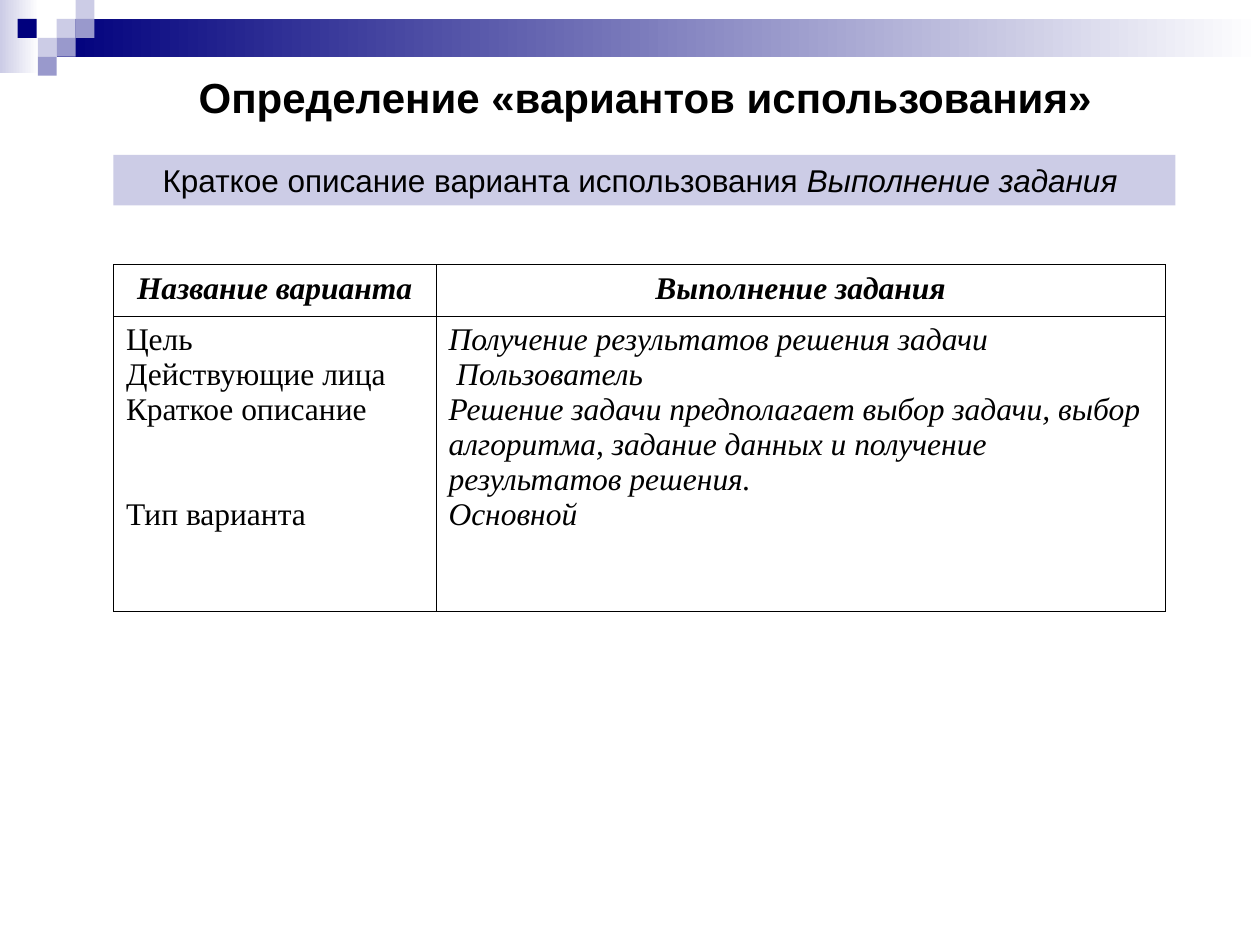
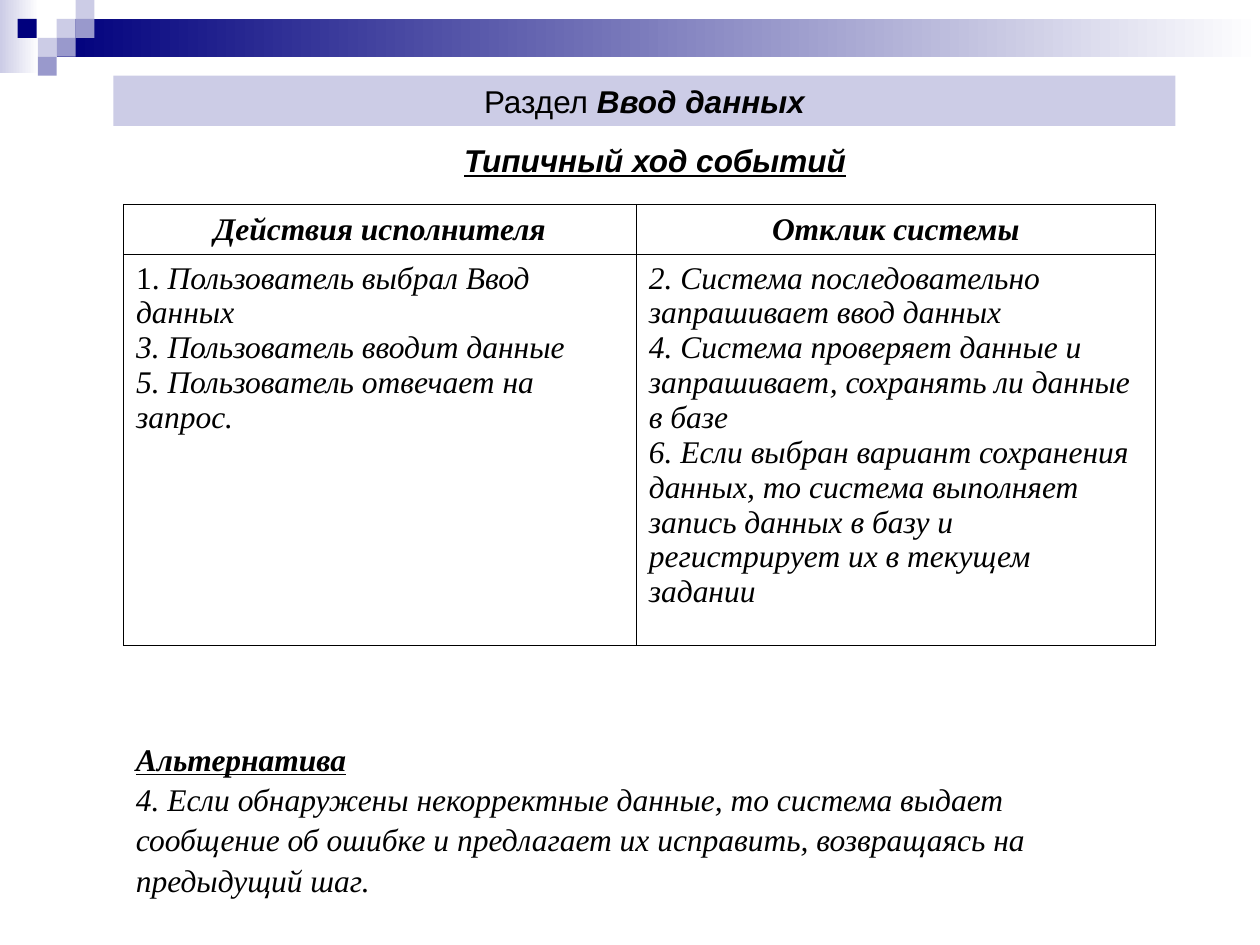
from lxml import etree
from pptx import Presentation
from pptx.dml.color import RGBColor
from pptx.enum.shapes import MSO_SHAPE
from pptx.enum.text import MSO_ANCHOR, PP_ALIGN
from pptx.oxml.ns import qn
from pptx.util import Emu, Pt

RECT = MSO_SHAPE.RECTANGLE
LEFT, CENTER = PP_ALIGN.LEFT, PP_ALIGN.CENTER
TOP, MIDDLE = MSO_ANCHOR.TOP, MSO_ANCHOR.MIDDLE

BLACK = RGBColor(0x00, 0x00, 0x00)
WHITE = RGBColor(0xFF, 0xFF, 0xFF)
NAVY = RGBColor(0x00, 0x00, 0x7D)
LILAC = RGBColor(0x99, 0x99, 0xCC)
PALE = RGBColor(0xCC, 0xCC, 0xE6)

SANS, SERIF = "Arial", "Times New Roman"
PX_PER_INCH = 100
TILE = 15
BORDER_PT = 0.45


def px(length):
    return Emu(length * 914400 // PX_PER_INCH)


def place(box):
    return [px(length) for length in box]


def write(frame, paragraphs, font=SANS, size=18, align=LEFT, line_spacing=None,
          gaps_before=None, **style):
    frame.word_wrap = True
    for index, runs in enumerate(paragraphs):
        paragraph = frame.paragraphs[0] if index == 0 else frame.add_paragraph()
        paragraph.alignment = align
        if line_spacing:
            paragraph.line_spacing = line_spacing
        if gaps_before and index in gaps_before:
            paragraph.space_before = Pt(gaps_before[index])
        for text, changes in [(runs, {})] if isinstance(runs, str) else runs:
            run = paragraph.add_run()
            run.text = text
            run.font.name = font
            run.font.size = Pt(size)
            run.font.color.rgb = BLACK
            for name, value in {**style, **changes}.items():
                setattr(run.font, name, value)


def add_text(slide, box, paragraphs, **style):
    write(slide.shapes.add_textbox(*place(box)).text_frame, paragraphs, **style)


def add_block(slide, box, color, fade=False):
    block = slide.shapes.add_shape(RECT, *place(box))
    block.shadow.inherit = False
    block.line.fill.background()
    if fade:
        block.fill.gradient()
        block.fill.gradient_angle = 180
        for stop, shade in zip(block.fill.gradient_stops, (WHITE, color)):
            stop.color.rgb = shade
    else:
        block.fill.solid()
        block.fill.fore_color.rgb = color
    return block


def add_header_band(slide):
    add_block(slide, (0, 0, 31, 58), PALE, fade=True)
    add_block(slide, (45, 15, 955, 30), NAVY, fade=True)
    tiles = ((45, 15, PALE), (60, 0, PALE), (60, 15, LILAC), (30, 30, PALE),
             (14, 15, NAVY), (45, 30, LILAC), (30, 45, LILAC))
    for left, top, color in tiles:
        add_block(slide, (left, top, TILE, TILE), color)


def add_caption(slide, top, runs):
    caption = add_block(slide, (90, top, 843, 40), PALE)
    caption.text_frame.vertical_anchor = TOP
    write(caption.text_frame, [runs], align=CENTER)


def outline(cell):
    properties = cell._tc.get_or_add_tcPr()
    for index, side in enumerate(("a:lnL", "a:lnR", "a:lnT", "a:lnB")):
        line = etree.Element(qn(side), w=str(Pt(BORDER_PT)))
        fill = etree.SubElement(line, qn("a:solidFill"))
        etree.SubElement(fill, qn("a:srgbClr"), val=str(BLACK))
        properties.insert(index, line)


def add_grid(slide, left, top, widths, heights, headings, columns,
             heading_anchor=TOP):
    box = (left, top, sum(widths), sum(heights))
    grid = slide.shapes.add_table(2, len(widths), *place(box)).table
    grid.first_row = grid.horz_banding = False
    for column, width in zip(grid.columns, widths):
        column.width = px(width)
    for row, height in zip(grid.rows, heights):
        row.height = px(height)
    for index, (heading, body) in enumerate(zip(headings, columns)):
        head_cell, body_cell = grid.cell(0, index), grid.cell(1, index)
        for cell in (head_cell, body_cell):
            cell.fill.solid()
            cell.fill.fore_color.rgb = WHITE
            outline(cell)
        head_cell.vertical_anchor = heading_anchor
        write(head_cell.text_frame, [heading], font=SERIF, align=CENTER,
              bold=True, italic=True)
        write(body_cell.text_frame, font=SERIF, **body)


def build_use_case(slide):
    add_header_band(slide)
    add_text(slide, (83, 52, 858, 50), ["Определение «вариантов использования»"],
             size=24, align=CENTER, bold=True)
    add_caption(slide, 123, [("Краткое описание варианта использования ", {}),
                             ("Выполнение задания ", {"italic": True})])
    labels = {
        "paragraphs": ["Цель", "Действующие лица Краткое описание", "Тип варианта"],
        "gaps_before": {2: 40},
    }
    values = {
        "paragraphs": [
            "Получение результатов решения задачи",
            " Пользователь",
            "Решение задачи предполагает выбор задачи, выбор алгоритма, "
            "задание данных и получение результатов решения.",
            "Основной",
        ],
        "italic": True,
    }
    add_grid(slide, 90, 210, (256, 579), (41, 234),
             ("Название варианта", "Выполнение задания"), (labels, values))


def build_data_entry(slide):
    add_header_band(slide)
    add_caption(slide, 60, [("Раздел ", {}),
                            ("Ввод данных", {"bold": True, "italic": True})])
    add_text(slide, (256, 107, 528, 40), ["Типичный ход событий"],
             align=CENTER, bold=True, italic=True, underline=True)
    actions = {
        "paragraphs": [
            [("1. ", {"italic": False}), ("Пользователь выбрал Ввод данных", {})],
            "3. Пользователь вводит данные",
            "5. Пользователь отвечает на запрос.",
        ],
        "italic": True,
    }
    responses = {
        "paragraphs": [
            "2. Система последовательно запрашивает ввод данных",
            "4. Система проверяет данные и запрашивает, сохранять ли данные в базе",
            "6. Если выбран вариант сохранения данных, то система выполняет "
            "запись данных в базу и регистрирует их в текущем задании",
        ],
        "italic": True,
    }
    add_grid(slide, 98, 162, (407, 412), (40, 310),
             ("Действия исполнителя", "Отклик системы"), (actions, responses),
             heading_anchor=MIDDLE)
    add_text(slide, (98, 580, 819, 130), [
        [("Альтернатива", {"bold": True, "underline": True})],
        "4. Если обнаружены некорректные данные, то система выдает сообщение "
        "об ошибке и предлагает их исправить, возвращаясь на предыдущий шаг.",
    ], font=SERIF, italic=True, line_spacing=1.07)


def main():
    deck = Presentation()
    deck.slide_width, deck.slide_height = px(1000), px(750)
    blank = deck.slide_layouts[6]
    for build in (build_use_case, build_data_entry):
        build(deck.slides.add_slide(blank))
    deck.save("out.pptx")


if __name__ == "__main__":
    main()
